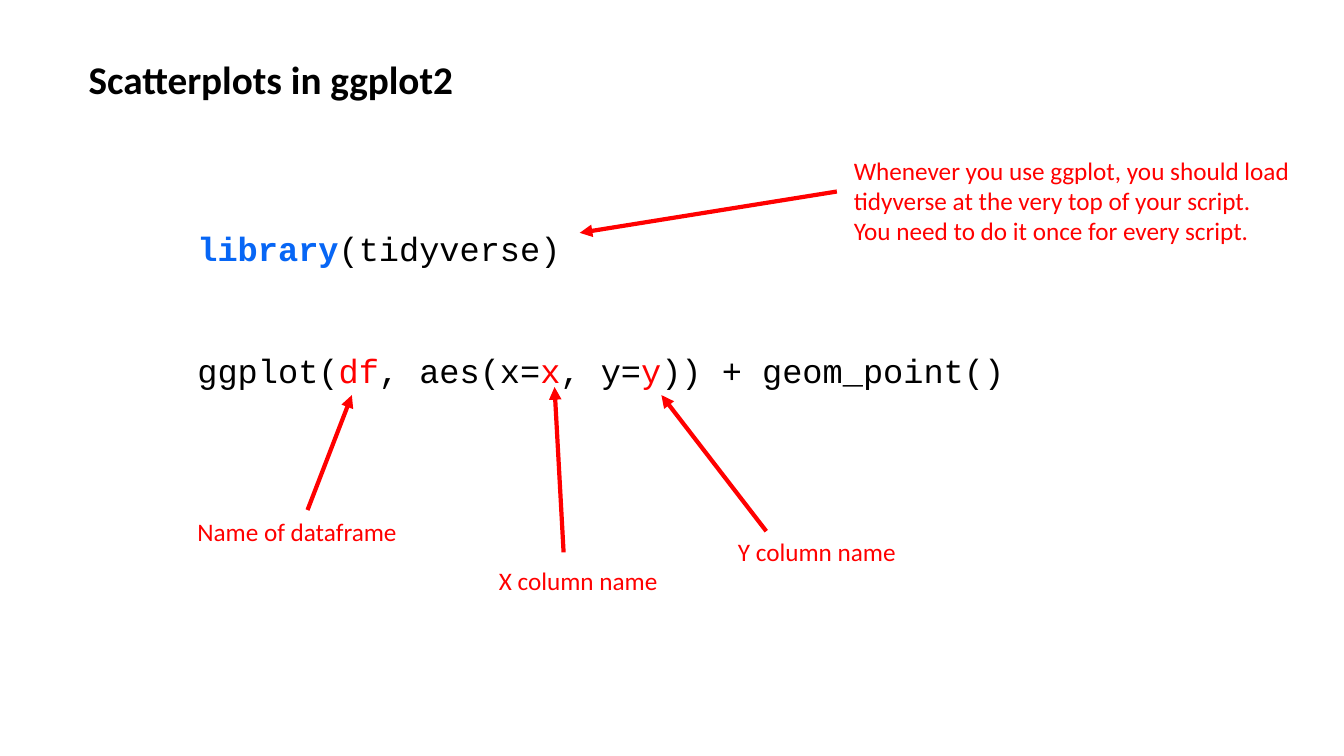
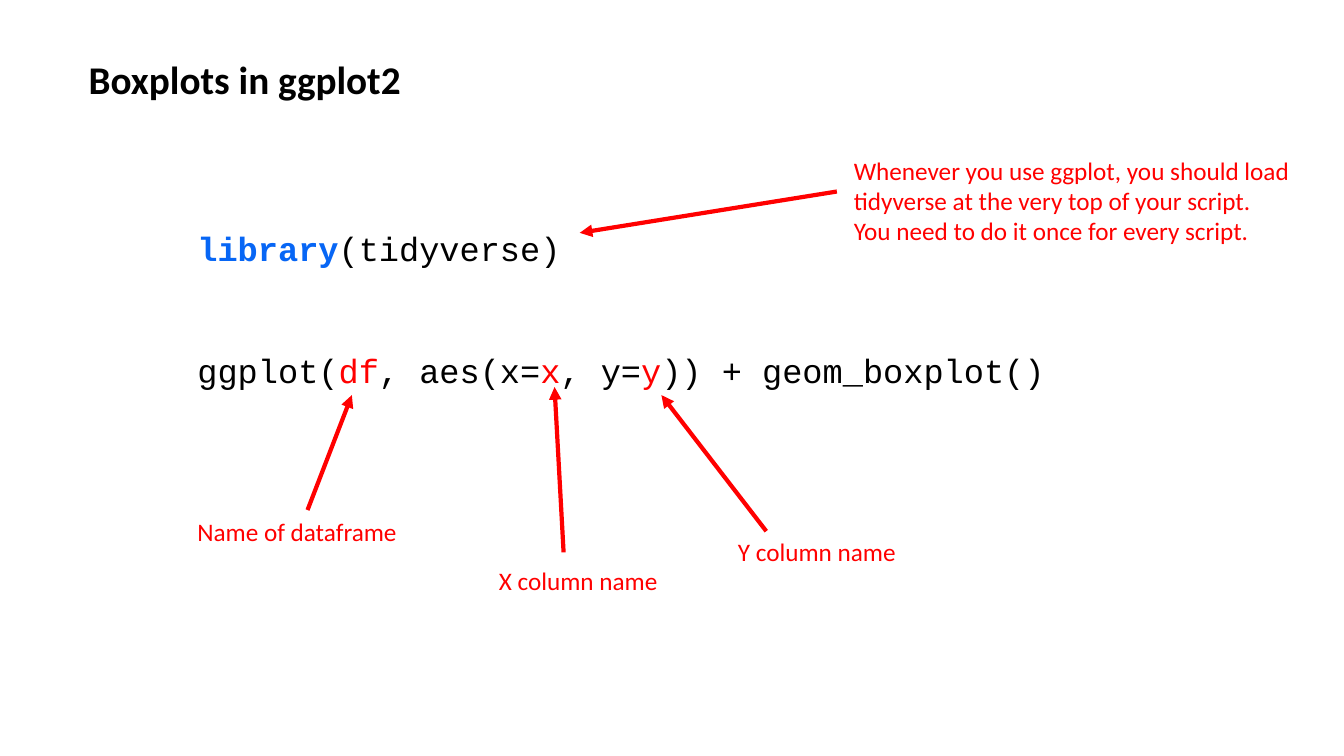
from dataclasses import dataclass
from lxml.etree import SubElement
from pptx import Presentation
from pptx.dml.color import RGBColor
from pptx.enum.shapes import MSO_CONNECTOR
from pptx.enum.text import MSO_ANCHOR, MSO_AUTO_SIZE, PP_ALIGN
from pptx.oxml.ns import qn
from pptx.util import Inches, Pt


@dataclass(frozen=True)
class Theme:
    """Colours, fonts and sizes that the slides share."""
    black: str = "000000"
    red: str = "FF0000"
    blue: str = "0766F5"
    sans: str = "Calibri"
    mono: str = "Courier New"
    title: int = 28
    code: int = 24
    note: int = 18
    line: int = 3
    gap: float = 58.6


THEME = Theme()
SLIDES = [
    ("Scatterplots in ggplot2", 3.87, "geom_point"),
    ("Boxplots in ggplot2", 3.33, "geom_boxplot"),
]
NOTES = [
    ("Name of dataframe", (1.86, 5.07, 2.2, 0.4), False),
    ("Y column name", (7.22, 5.27, 1.79, 0.4), False),
    ("X column name", (4.85, 5.56, 1.79, 0.4), False),
    ("Whenever you use ggplot, you should load tidyverse at the very top "
     "of your script. You need to do it once for every script.",
     (8.37, 1.49, 4.53, 1.31), True),
]
ARROWS = [
    ((3.05, 5.06), (3.49, 3.92)),
    ((5.59, 5.48), (5.5, 3.84)),
    ((7.6, 5.27), (6.56, 3.92)),
    ((8.3, 1.9), (5.75, 2.31)),
]


def add_run(para, text, size, name=THEME.sans, color=THEME.black, bold=False):
    """Add a formatted run to a paragraph."""
    run = para.add_run()
    run.text = text
    style = {"size": Pt(size), "name": name, "bold": bold}
    for key, value in style.items():
        setattr(run.font, key, value)
    run.font.color.rgb = RGBColor.from_string(color)


def set_frame(shape, wrap):
    """Set up a text frame and return its first paragraph."""
    frame = shape.text_frame
    style = {"word_wrap": wrap, "auto_size": MSO_AUTO_SIZE.SHAPE_TO_FIT_TEXT,
             "vertical_anchor": MSO_ANCHOR.TOP}
    for key, value in style.items():
        setattr(frame, key, value)
    para = frame.paragraphs[0]
    para.alignment = PP_ALIGN.LEFT
    return para


def add_box(slide, box, wrap=True):
    """Add a text box and return its first paragraph and frame."""
    shape = slide.shapes.add_textbox(*map(Inches, box))
    return set_frame(shape, wrap), shape.text_frame


def set_title(slide, text, width):
    """Place and fill the title."""
    title = slide.shapes.title
    place = {"left": 0.78, "top": 0.5, "width": width, "height": 0.57}
    for key, value in place.items():
        setattr(title, key, Inches(value))
    add_run(set_frame(title, False), text, THEME.title, bold=True)


def add_code(slide, geom):
    """Add the two code lines with their coloured parts."""
    first, frame = add_box(slide, (1.86, 2.21, 9.57, 1.72))
    add_run(first, "library", THEME.code, THEME.mono, THEME.blue, True)
    add_run(first, "(tidyverse)", THEME.code, THEME.mono)
    plot = frame.add_paragraph()
    plot.space_before = Pt(THEME.gap)
    parts = ["ggplot(", "df", ", aes(x=", "x", ", y=", "y", f")) + {geom}()"]
    for i, part in enumerate(parts):
        color = THEME.red if i % 2 else THEME.black
        add_run(plot, part, THEME.code, THEME.mono, color)


def add_note(slide, text, box, wrap):
    """Add a red note."""
    para, _ = add_box(slide, box, wrap)
    add_run(para, text, THEME.note, color=THEME.red)


def add_arrow(slide, start, end):
    """Add a red arrow that points at its end."""
    arrow = slide.shapes.add_connector(
        MSO_CONNECTOR.STRAIGHT, *map(Inches, start + end))
    arrow.line.color.rgb = RGBColor.from_string(THEME.red)
    arrow.line.width = Pt(THEME.line)
    SubElement(arrow.line._get_or_add_ln(), qn("a:tailEnd"), type="triangle")
    SubElement(arrow._element.spPr, qn("a:effectLst"))


def main():
    """Build and save the slides."""
    deck = Presentation()
    deck.slide_width, deck.slide_height = Inches(13.33), Inches(7.5)
    for title, width, geom in SLIDES:
        slide = deck.slides.add_slide(deck.slide_layouts[5])
        set_title(slide, title, width)
        add_code(slide, geom)
        for start, end in ARROWS:
            add_arrow(slide, start, end)
        for text, box, wrap in NOTES:
            add_note(slide, text, box, wrap)
    deck.save("out.pptx")


if __name__ == "__main__":
    main()
